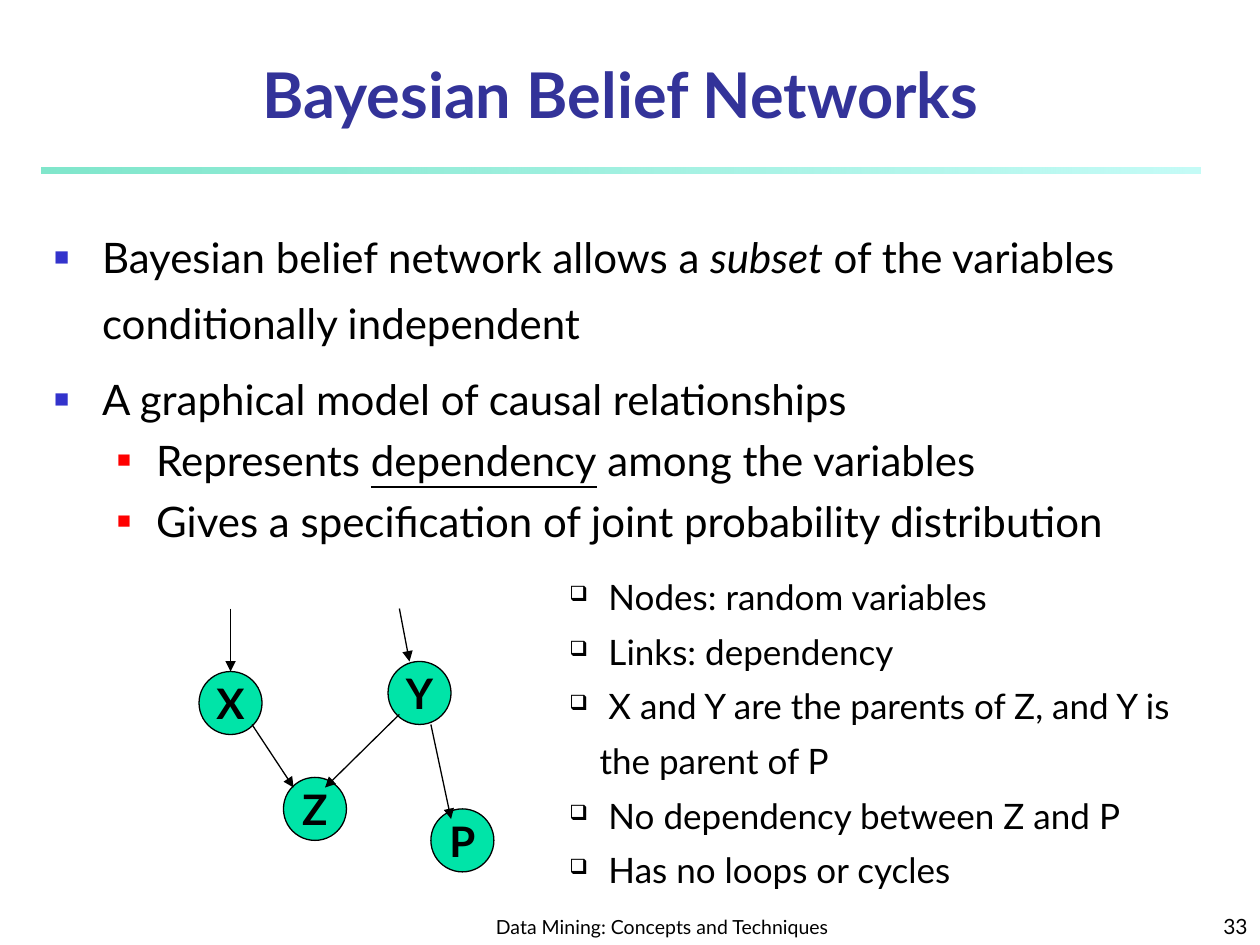
from lxml import etree
from pptx import Presentation
from pptx import util as u
from pptx.dml.color import RGBColor
from pptx.enum import shapes, text
from pptx.oxml import ns

FONT = "Lato"
BLACK = "000000"
NODE_SIZE = 0.5
NODES = {"X": (1.58, 5.33), "Y": (3.08, 5.25), "Z": (2.25, 6.17), "P": (3.42, 6.42)}
LINKS = [
    ((2, 5.75), (2.33, 6.25)),
    ((3.17, 5.67), (2.58, 6.25)),
    ((3.42, 5.75), (3.58, 6.5)),
    ((3.17, 4.83), (3.25, 5.25)),
]
# Each point: level, then (wording, font attribute to switch on)
POINTS = [
    (0, [("Bayesian belief network allows a ", None), ("subset", "italic"),
         (" of the variables conditionally independent", None)]),
    (0, [("A graphical model of causal relationships", None)]),
    (1, [("Represents ", None), ("dependency", "underline"),
         (" among the variables", None)]),
    (1, [("Gives a specification of joint probability distribution", None)]),
]
# Per level: left indent, hanging indent, bullet colour, bullet size, line spacing
LEVELS = [(0.38, 0.38, "3333CC", 60, 1.3), (0.81, 0.31, "FF0000", 55, 1.0)]
NOTES = [
    " Nodes: random variables",
    " Links: dependency",
    " X and Y are the parents of Z, and Y is the parent of P",
    " No dependency between Z and P",
    " Has no loops or cycles",
]


def color(value):
    return RGBColor.from_string(value)


def add_element(parent, tag, **attributes):
    return etree.SubElement(parent, ns.qn(tag), attributes)


def place(shape, left, top, width, height):
    shape.left, shape.top = u.Inches(left), u.Inches(top)
    shape.width, shape.height = u.Inches(width), u.Inches(height)


def style(font, size, value=BLACK, bold=False):
    font.name, font.size, font.bold = FONT, u.Pt(size), bold
    font.color.rgb = color(value)


def set_line(para, wording, size, align, value=BLACK, bold=False):
    para.text = wording
    para.alignment = align
    style(para.runs[0].font, size, value, bold)


def set_bullet(para, char, left, hanging, value, percent):
    properties = para._p.get_or_add_pPr()
    properties.set("marL", str(u.Inches(left)))
    properties.set("indent", str(-u.Inches(hanging)))
    add_element(add_element(properties, "a:buClr"), "a:srgbClr", val=value)
    add_element(properties, "a:buSzPct", val=str(percent * 1000))
    add_element(properties, "a:buChar", char=char)


def next_paragraph(frame, index):
    return frame.add_paragraph() if index else frame.paragraphs[0]


def add_rule(page):
    rule = page.shapes.add_shape(
        shapes.MSO_SHAPE.RECTANGLE,
        u.Inches(0.33), u.Inches(1.33), u.Inches(9.2), u.Inches(0.05))
    rule.shadow.inherit = False
    rule.line.fill.background()
    rule.fill.gradient()
    rule.fill.gradient_angle = 0
    shades = [("00CE98", 50), ("8FF9EF", 52)]
    for position, (stop, (value, opacity)) in enumerate(zip(rule.fill.gradient_stops, shades)):
        stop.position = position
        stop.color.rgb = color(value)
        add_element(stop._gs[0], "a:alpha", val=str(opacity * 1000))


def add_footer(page, wording, left, width, size, align):
    box = page.shapes.add_textbox(
        u.Inches(left), u.Inches(7.08), u.Inches(width), u.Inches(0.42))
    frame = box.text_frame
    frame.word_wrap = True
    frame.vertical_anchor = text.MSO_ANCHOR.BOTTOM
    set_line(frame.paragraphs[0], wording, size, align)


def fill_title(title):
    place(title, 0.33, 0.42, 9.19, 0.67)
    title.text_frame.auto_size = text.MSO_AUTO_SIZE.NONE
    title.text_frame.vertical_anchor = text.MSO_ANCHOR.BOTTOM
    set_line(title.text_frame.paragraphs[0], "Bayesian Belief Networks", 36,
             text.PP_ALIGN.CENTER, "333399", True)


def fill_body(body):
    place(body, 0.33, 1.67, 9.33, 5.5)
    frame = body.text_frame
    frame.auto_size = text.MSO_AUTO_SIZE.NONE
    for index, (level, pieces) in enumerate(POINTS):
        para = next_paragraph(frame, index)
        para.level = level
        left, hanging, value, percent, spacing = LEVELS[level]
        set_bullet(para, "■", left, hanging, value, percent)
        para.line_spacing = spacing
        para.space_before = u.Pt(6 if index else 0)
        for wording, emphasis in pieces:
            span = para.add_run()
            span.text = wording
            style(span.font, 24)
            if emphasis:
                setattr(span.font, emphasis, True)


def add_node(page, name, left, top):
    node = page.shapes.add_shape(
        shapes.MSO_SHAPE.FLOWCHART_CONNECTOR,
        u.Inches(left), u.Inches(top), u.Inches(NODE_SIZE), u.Inches(NODE_SIZE))
    node.shadow.inherit = False
    node.fill.solid()
    node.fill.fore_color.rgb = color("00E4A8")
    node.line.color.rgb = color(BLACK)
    node.line.width = u.Pt(0.75)
    frame = node.text_frame
    frame.word_wrap = False
    frame.vertical_anchor = text.MSO_ANCHOR.MIDDLE
    set_line(frame.paragraphs[0], name, 24, text.PP_ALIGN.CENTER, bold=True)
    return node


def add_arrow(page, start, end):
    arrow = page.shapes.add_connector(
        shapes.MSO_CONNECTOR.STRAIGHT, *(u.Inches(value) for value in start + end))
    arrow.line.color.rgb = color(BLACK)
    arrow.line.width = u.Pt(0.75)
    add_element(arrow.line._get_or_add_ln(), "a:tailEnd", type="triangle")
    add_element(arrow._element.spPr, "a:effectLst")
    return arrow


def add_notes_list(page):
    box = page.shapes.add_textbox(
        u.Inches(4.42), u.Inches(4.42), u.Inches(5.4), u.Inches(2.7))
    frame = box.text_frame
    frame.word_wrap = True
    for index, wording in enumerate(NOTES):
        para = next_paragraph(frame, index)
        set_bullet(para, "❑", 0.24, 0.24, BLACK, 60)
        para.line_spacing = 1.3
        set_line(para, wording, 20, text.PP_ALIGN.LEFT)


def main():
    deck = Presentation()
    deck.slide_width, deck.slide_height = u.Inches(10), u.Inches(7.5)
    page = deck.slides.add_slide(deck.slide_layouts[1])

    # Frame of the page
    add_rule(page)
    add_footer(page, "Data Mining: Concepts and Techniques", 3.67, 3.17, 11.1,
               text.PP_ALIGN.CENTER)
    add_footer(page, "33", 7.92, 2.08, 12, text.PP_ALIGN.RIGHT)

    # Title and main points
    fill_title(page.shapes.title)
    fill_body(page.placeholders[1])

    # Network graph
    nodes = {name: add_node(page, name, *spot) for name, spot in NODES.items()}
    for start, end in LINKS:
        add_arrow(page, start, end)
    add_arrow(page, (1.83, 4.83), (1.83, 5.33)).end_connect(nodes["X"], 0)

    # Explanation beside the graph
    add_notes_list(page)
    deck.save("out.pptx")


if __name__ == "__main__":
    main()
